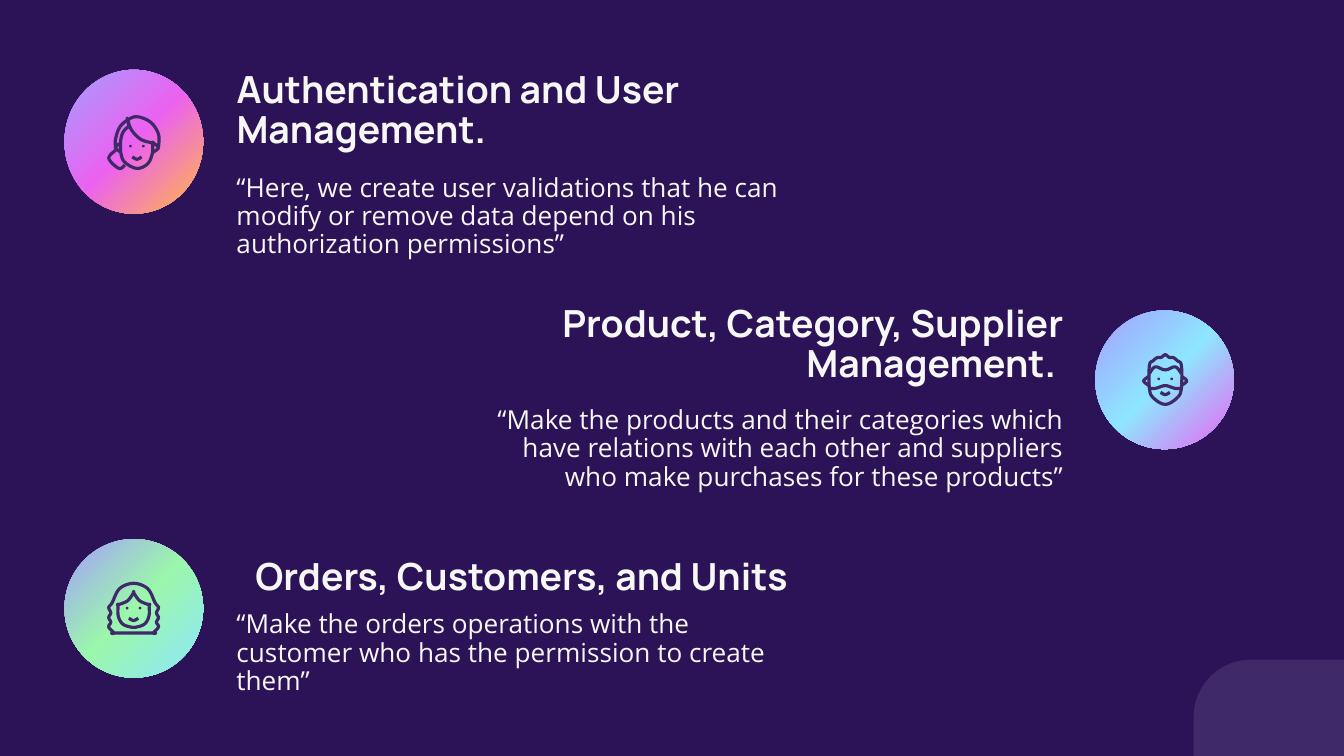
from copy import deepcopy

from pptx import Presentation
from pptx.dml.color import RGBColor
from pptx.enum import shapes, text
from pptx.util import Cm, Pt

COLORS = {"night": "2C1256", "plum": "402968", "paper": "F7F7F5", "lilac": "A49EFF",
          "pink": "EB62F0", "amber": "FFBB43", "mint": "9BF7AB", "sky": "8EE6FF"}
RGB = {name: RGBColor.from_string(value) for name, value in COLORS.items()}
LEFT, CENTER, RIGHT = text.PP_ALIGN.LEFT, text.PP_ALIGN.CENTER, text.PP_ALIGN.RIGHT
UNIT = 25.4  # icon grid step, in thousandths of a centimetre
STEPS = 6  # segments per curve piece


def smooth(points, closed):
    """Return points along a Catmull-Rom curve; a doubled point makes a corner."""
    ring = [points[-1], *points, *points[:2]] if closed else [points[0], *points, points[-1]]
    curve = [points[0]]
    for a, b, c, d in zip(ring, ring[1:], ring[2:], ring[3:]):
        for step in range(1, STEPS + 1):
            t = step / STEPS
            curve.append(tuple(
                (2 * q + (r - p) * t + (2 * p - 5 * q + 4 * r - s) * t ** 2
                 + (3 * q - p - 3 * r + s) * t ** 3) / 2
                for p, q, r, s in zip(a, b, c, d)))
    return [(x * UNIT, y * UNIT) for x, y in curve]


def write(box, place, words, align, font, size, bold):
    box.left, box.top, box.width, box.height = [Cm(length) for length in place]
    frame = box.text_frame
    frame.word_wrap = True
    frame.auto_size = text.MSO_AUTO_SIZE.NONE
    frame.vertical_anchor = text.MSO_ANCHOR.MIDDLE
    frame.margin_left = frame.margin_right = Cm(0.25)
    frame.margin_top = frame.margin_bottom = Cm(0.25)
    para = frame.paragraphs[0]
    para.text = words
    para.alignment = align
    para.line_spacing = 0.9
    para.font.name, para.font.size, para.font.bold = font, Pt(size), bold
    para.font.color.rgb = RGB["paper"]


deck = Presentation()
deck.slide_width, deck.slide_height = Cm(25.4), Cm(14.29)
page = deck.slides.add_slide(deck.slide_layouts[5])
page.background.fill.solid()
page.background.fill.fore_color.rgb = RGB["night"]

corner = page.shapes.add_shape(shapes.MSO_SHAPE.ROUNDED_RECTANGLE,
                               Cm(22.56), Cm(12.47), Cm(6.5), Cm(6.73))
corner.shadow.inherit = False
corner.fill.solid()
corner.fill.fore_color.rgb = RGB["plum"]
corner.line.fill.background()

# Each topic: left, (title top, height), title, its alignment,
# (body top, height), body, its alignment
topics = [
    (4.22, (1.35, 1.52), "Authentication and User Management.", LEFT, (3.25, 1.7),
     "“Here, we create user validations that he can modify or remove data depend on his "
     "authorization permissions”", LEFT),
    (9.07, (5.79, 1.47), "Product, Category, Supplier Management. ", RIGHT, (7.49, 2.01),
     "“Make the products and their categories which have relations with each other and "
     "suppliers who make purchases for these products”", RIGHT),
    (4.22, (10.19, 1.47), "Orders, Customers, and Units", CENTER, (11.53, 1.65),
     "“Make the orders operations with the customer who has the permission to create "
     "them”", LEFT),
]
for index, (left, (top, height), title, title_align, (body_top, body_height),
            body, body_align) in enumerate(topics):
    heading = page.shapes.title if index == 0 else page.shapes.add_textbox(0, 0, 0, 0)
    write(heading, (left, top, 11.28, height), title, title_align, "Manrope", 20, True)
    write(page.shapes.add_textbox(0, 0, 0, 0), (left, body_top, 11.28, body_height),
          body, body_align, "Open Sans", 14, False)

# Icon strokes on a grid: (closed, points)
bun_woman = [
    (True, [(15, 3), (15, 3), (18, 11), (25, 18), (33.5, 20.5), (33.5, 20.5), (33.5, 28),
            (30, 36), (22, 39.5), (13, 35), (10, 28), (10, 18), (12, 12), (16, 8), (16, 8)]),
    (False, [(6, 24), (6, 18), (9, 9), (15, 3.5), (22, 1), (32, 5), (38, 14), (38, 24)]),
    (False, [(34, 20.5), (38, 24), (34, 27.5)]),
    (False, [(10, 20.5), (6, 24), (10, 27.5)]),
    (False, [(6, 26), (1, 32), (8.5, 39.5), (13, 37)]),
]
bearded_man = [
    (True, [(5.2, 26), (8, 33), (17, 38), (26, 33), (29, 26), (29, 9), (26, 5.5), (23, 3.2),
            (20, 3), (17, 1), (14, 3), (11, 3.2), (8, 5.5), (5.2, 9)]),
    (False, [(5.2, 15), (9.5, 10), (17, 12.3), (24.5, 10), (29, 15)]),
    (False, [(5.2, 26.2), (10, 26), (17, 24), (24, 26), (29, 26.2)]),
    (False, [(5, 17), (1, 20.5), (5, 24)]),
    (False, [(29, 17), (33, 20.5), (29, 24)]),
]
long_hair_woman = [
    (True, [(19.5, 1), (30, 5), (35.5, 15.5), (38, 19), (36.5, 23), (38, 26.5), (36.5, 30),
            (38, 33.5), (34, 38), (34, 38), (5, 38), (5, 38), (1, 33.5), (2.5, 30),
            (1, 26.5), (2.5, 23), (1, 19), (3.5, 15.5), (9, 5)]),
    (True, [(19.5, 8), (19.5, 8), (24, 14), (31, 17), (31, 17), (31, 25), (28, 31),
            (22, 33.5), (17, 33.5), (11, 31), (8, 25), (8, 17), (8, 17), (15, 14)]),
]

# Each badge: circle left, top, height, gradient, icon left, top, strokes,
# face centre, eye level, mouth level
badges = [
    (1.22, 1.32, 2.72, ("lilac", "pink", "amber"), 2.03, 2.18, bun_woman, 22, 23, 31),
    (1.22, 10.19, 2.62, ("lilac", "mint", "sky"), 2.03, 11, long_hair_woman, 19.5, 19.5, 27),
    (20.7, 5.87, 2.62, ("lilac", "sky", "pink"), 21.59, 6.68, bearded_man, 17, 19, 29),
]
for left, top, height, gradient, icon_left, icon_top, strokes, middle, eyes, mouth in badges:
    circle = page.shapes.add_shape(shapes.MSO_SHAPE.OVAL, Cm(left), Cm(top),
                                   Cm(2.62), Cm(height))
    circle.shadow.inherit = False
    circle.line.fill.background()
    circle.fill.gradient()
    circle.fill.gradient_angle = 315
    last_stop = circle._element.xpath(".//a:gs")[-1]
    last_stop.addprevious(deepcopy(last_stop))
    for stop, name, position in zip(circle.fill.gradient_stops, gradient, (0, 0.5, 1)):
        stop.color.rgb = RGB[name]
        stop.position = position

    smile = (False, [(middle - 3.5, mouth), (middle, mouth + 1.7), (middle + 3.5, mouth)])
    for closed, points in strokes + [smile]:
        curve = smooth(points, closed)
        builder = page.shapes.build_freeform(*curve[0], scale=Cm(0.001))
        builder.add_line_segments(curve[1:], close=closed)
        stroke = builder.convert_to_shape(Cm(icon_left), Cm(icon_top))
        stroke.shadow.inherit = False
        stroke.fill.background()
        stroke.line.color.rgb = RGB["plum"]
        stroke.line.width = Pt(1.7)

    for offset in (-4.8, 4.8):
        eye = page.shapes.add_shape(
            shapes.MSO_SHAPE.OVAL, Cm(icon_left + (middle + offset - 1) * UNIT / 1000),
            Cm(icon_top + (eyes - 1) * UNIT / 1000), Cm(0.05), Cm(0.05))
        eye.shadow.inherit = False
        eye.fill.solid()
        eye.fill.fore_color.rgb = RGB["plum"]
        eye.line.fill.background()

deck.save("out.pptx")
